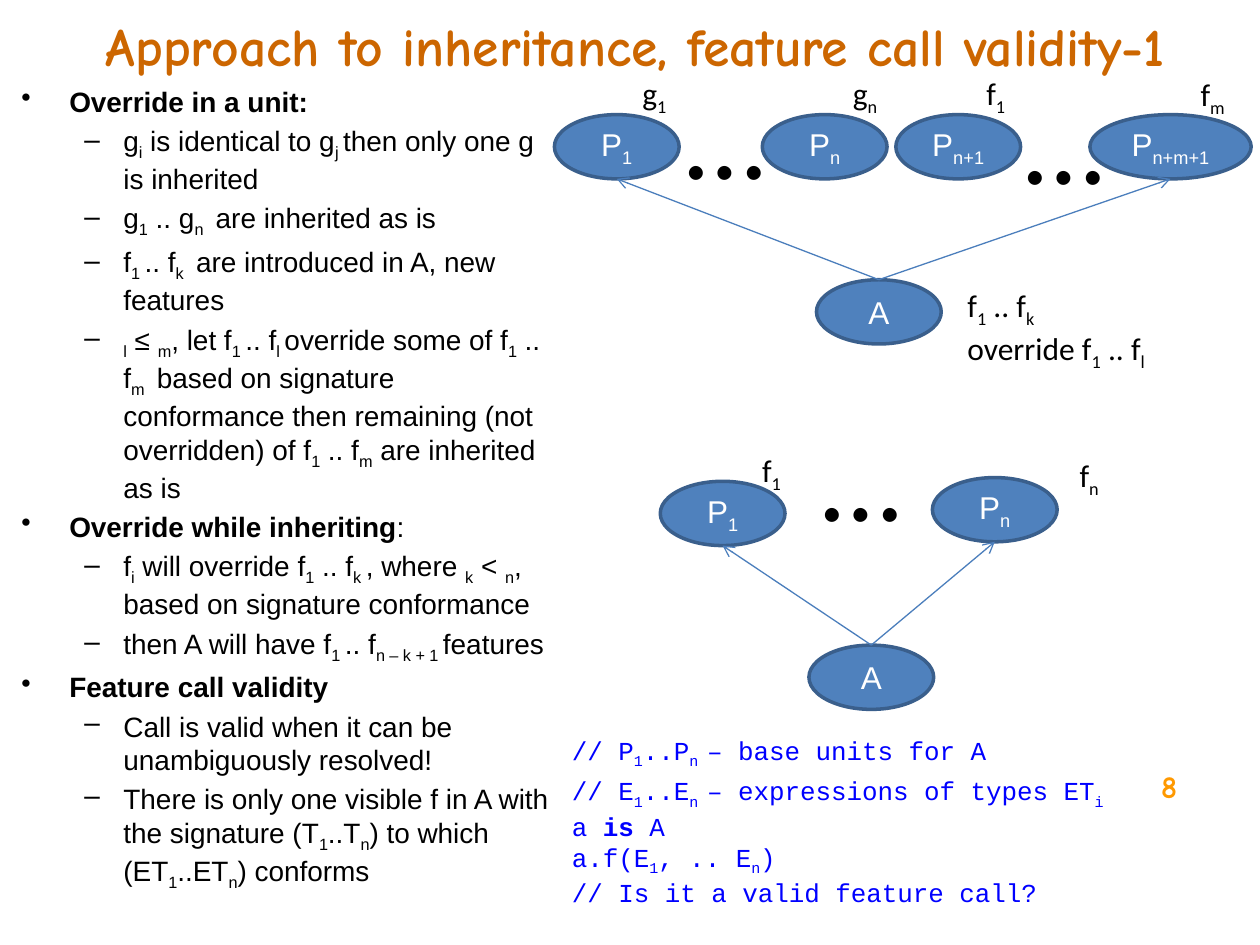
from dataclasses import dataclass

from lxml.etree import SubElement
from pptx import Presentation
from pptx.dml.color import RGBColor
from pptx.enum.shapes import MSO_CONNECTOR, MSO_SHAPE
from pptx.enum.text import MSO_ANCHOR, PP_ALIGN
from pptx.oxml.ns import qn
from pptx.util import Inches, Pt


@dataclass(frozen=True)
class Style:
    """Font, size, colour and weight of a text."""
    font: str
    size: float
    color: str
    bold: bool = False


@dataclass(frozen=True)
class Theme:
    """Colours and type of the slide."""
    title: Style = Style("Comic Neue", 30.6, "CC6600", True)
    body: Style = Style("Arial", 16, "000000")
    code: Style = Style("Courier New", 14.8, "0000FF")
    number: Style = Style("Comic Neue", 18, "FF9900", True)
    node: Style = Style("Arial", 18, "FFFFFF")
    label: Style = Style("Calibri", 18, "000000")
    dots: Style = Style("Calibri", 66, "000000")
    fill: str = "4F81BD"
    edge: str = "3A5F8C"
    arrow: str = "4B7EBC"


THEME = Theme()
NODE_W, NODE_H = 0.99, 0.51

# In all texts ~ switches subscript and * switches bold.
POINTS = [
    (0, "*Override in a unit:*"),
    (1, "g~i~ is identical to g~j ~then only one g is inherited"),
    (1, "g~1~ .. g~n ~ are inherited as is"),
    (1, "f~1 ~.. f~k ~ are introduced in A, new features"),
    (1, "~l~ ≤ ~m~, let f~1 ~.. f~l ~override some of f~1~ .. f~m ~ based on "
        "signature conformance then remaining (not overridden) of "
        "f~1~ .. f~m~ are inherited as is"),
    (0, "*Override while inheriting*:"),
    (1, "f~i~ will override f~1~ .. f~k ~, where ~k~ < ~n~, "
        "based on signature conformance"),
    (1, "then A will have f~1 ~.. f~n – k + 1 ~features"),
    (0, "*Feature call validity*"),
    (1, "Call is valid when it can be unambiguously resolved!"),
    (1, "There is only one visible f in A with the signature (T~1~..T~n~) "
        "to which (ET~1~..ET~n~) conforms"),
]
CODE = [
    "// P~1~..P~n ~– base units for A",
    "// E~1~..E~n ~– expressions of types ET~i~\na *is* A\n"
    "a.f(E~1~, .. E~n~)\n// Is it a valid feature call?",
]


def rgb(code):
    """Turn a hex code into a colour."""
    return RGBColor.from_string(code)


def add_run(para, text, style, bold, sub):
    """Add one formatted run."""
    run = para.add_run()
    run.text = text
    font = run.font
    font.name, font.size = style.font, Pt(style.size)
    font.color.rgb = rgb(style.color)
    font.bold = style.bold or bold
    if sub:
        run._r.get_or_add_rPr().set("baseline", "-25000")


def write(para, text, style):
    """Fill a paragraph from marked-up text."""
    for row, line in enumerate(text.split("\n")):
        if row:
            para.add_line_break()
        for i, part in enumerate(line.split("~")):
            for j, piece in enumerate(part.split("*")):
                if piece:
                    add_run(para, piece, style, j % 2 == 1, i % 2 == 1)


def fill_frame(frame, lines, style, align=PP_ALIGN.LEFT, gap=0):
    """Write one paragraph for each line and return the paragraphs."""
    frame.word_wrap = True
    for i, line in enumerate(lines):
        para = frame.add_paragraph() if i else frame.paragraphs[0]
        para.alignment = align
        para.space_before = Pt(gap)
        write(para, line, style)
    return frame.paragraphs


def add_text(shapes, box, lines, style, align=PP_ALIGN.LEFT, gap=0):
    """Add a text box and return its frame."""
    frame = shapes.add_textbox(*map(Inches, box)).text_frame
    fill_frame(frame, lines, style, align, gap)
    return frame


def add_list(shapes, box, points):
    """Add the two-level bullet list."""
    frame = add_text(shapes, box, [text for _, text in points], THEME.body, gap=3.2)
    frame.margin_left = frame.margin_top = 0
    levels = [(0.38, -0.38, "•"), (0.81, -0.31, "–")]
    for para, (level, _) in zip(frame.paragraphs, points):
        left, hang, mark = levels[level]
        para.level = level
        props = para._p.get_or_add_pPr()
        props.set("marL", str(Inches(left)))
        props.set("indent", str(Inches(hang)))
        SubElement(props, qn("a:buChar")).set("char", mark)


def add_node(shapes, left, top, text, width=NODE_W):
    """Add an ellipse that stands for a unit."""
    node = shapes.add_shape(
        MSO_SHAPE.OVAL, *map(Inches, (left, top, width, NODE_H)))
    node.shadow.inherit = False
    node.fill.solid()
    node.fill.fore_color.rgb = rgb(THEME.fill)
    node.line.color.rgb = rgb(THEME.edge)
    node.line.width = Pt(2)
    node.text_frame.vertical_anchor = MSO_ANCHOR.MIDDLE
    fill_frame(node.text_frame, [text], THEME.node, PP_ALIGN.CENTER)
    return node


def add_arrow(shapes, child, base):
    """Point from the top of a child to the bottom of its base."""
    line = shapes.add_connector(
        MSO_CONNECTOR.STRAIGHT,
        child.left + child.width // 2, child.top,
        base.left + base.width // 2, base.top + base.height)
    line.line.color.rgb = rgb(THEME.arrow)
    line.line.width = Pt(0.75)
    SubElement(line.line._get_or_add_ln(), qn("a:tailEnd")).set("type", "arrow")
    SubElement(line._element.spPr, qn("a:effectLst"))


def add_graph(slide, child, bases, dots, labels):
    """Add a group with a child unit, its bases, dots and labels."""
    shapes = slide.shapes.add_group_shape().shapes
    low = add_node(shapes, *child, "A")
    nodes = [add_node(shapes, *base) for base in bases]
    for base in (nodes[0], nodes[-1]):
        add_arrow(shapes, low, base)
    for left, top in dots:
        add_text(shapes, (left, top, 1.41, 1.21), ["…"], THEME.dots)
    for left, top, width, text in labels:
        add_text(shapes, (left, top, width, 0.4), [text], THEME.label)
    return shapes


def main():
    """Build the slide and save it."""
    deck = Presentation()
    deck.slide_width, deck.slide_height = Inches(10), Inches(7.5)
    slide = deck.slides.add_slide(deck.slide_layouts[6])
    shapes = slide.shapes

    title = add_text(shapes, (-0.17, 0, 10.42, 0.72),
                     ["Approach to inheritance, feature call validity-1"],
                     THEME.title, PP_ALIGN.CENTER)
    title.margin_left = title.margin_right = 0
    title.vertical_anchor = MSO_ANCHOR.MIDDLE
    add_list(shapes, (0.17, 0.67, 4.33, 6.75), POINTS)
    add_text(shapes, (4.44, 5.78, 4.62, 1.32), CODE, THEME.code, gap=2.96)
    add_text(shapes, (8.73, 6.04, 1.1, 0.4), ["8"], THEME.number, PP_ALIGN.CENTER)

    unit = add_graph(
        slide, (6.48, 2.22),
        [(4.4, 0.91, "P~1~"), (6.05, 0.91, "P~n~"), (7.11, 0.91, "P~n+1~"),
         (8.65, 0.91, "P~n+m+1~", 1.28)],
        [(5.34, 0.46), (8.03, 0.5)],
        [(7.73, 0.54, 0.36, "f~1~"), (9.43, 0.55, 0.47, "f~m~"),
         (5, 0.54, 0.42, "g~1~"), (6.67, 0.54, 0.53, "g~n~")])
    add_text(unit, (7.58, 2.22, 1.79, 0.71),
             ["f~1~ .. f~k~", "override f~1~ .. f~l~"], THEME.label)
    add_graph(
        slide, (6.42, 5.12),
        [(5.24, 3.82, "P~1~"), (7.4, 3.79, "P~n~")],
        [(6.42, 3.17)],
        [(5.95, 3.53, 0.73, "f~1~"), (8.47, 3.57, 0.73, "f~n~")])
    deck.save("out.pptx")


main()
